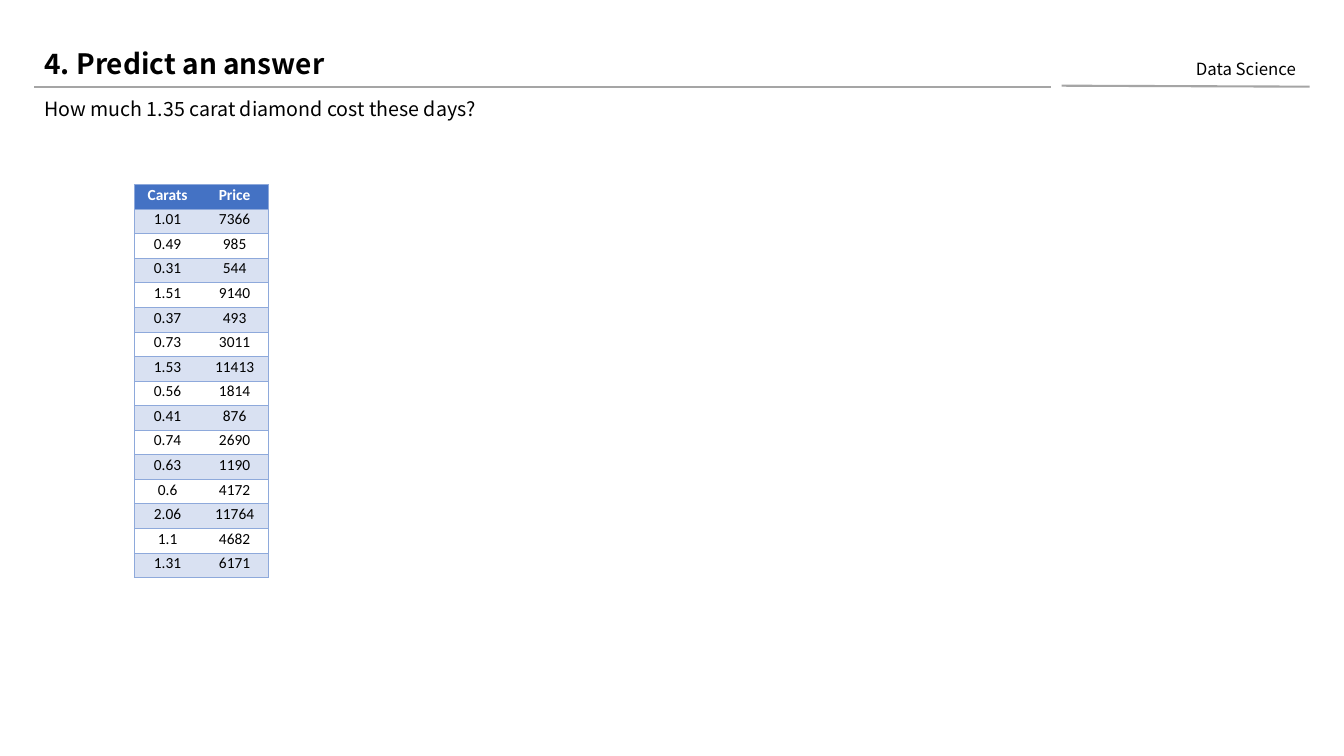
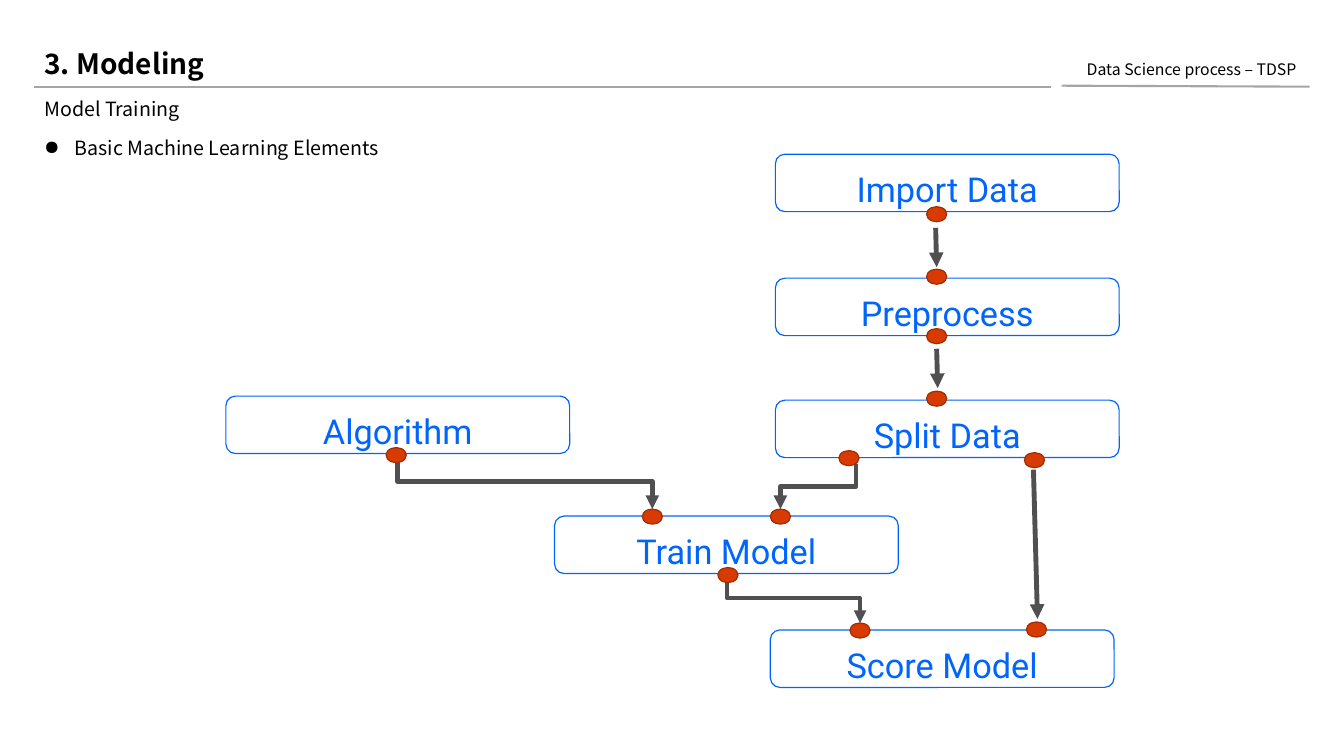
"""Build two data science slides: a price table and a model training flow."""
from dataclasses import dataclass

import lxml.etree
import pptx
import pptx.chart.data
import pptx.dml.color
import pptx.enum.shapes
import pptx.enum.text
import pptx.oxml.ns
import pptx.util

Inches = pptx.util.Inches
Pt = pptx.util.Pt
Align = pptx.enum.text.PP_ALIGN
Anchor = pptx.enum.text.MSO_ANCHOR
Preset = pptx.enum.shapes.MSO_SHAPE
Link = pptx.enum.shapes.MSO_CONNECTOR

BODY_FONT, TABLE_FONT, NODE_FONT = "Noto Sans CJK KR", "Calibri", "Roboto"
BLACK, WHITE, RULE = "000000", "FFFFFF", "A5A5A5"
HEADER_FILL, BAND_FILL, TABLE_BORDER = "4472C4", "D9E1F2", "8EA9DB"
NODE_BLUE, PORT_FILL, PORT_LINE, ARROW = "0065FC", "D83B01", "A02C01", "505050"
LEFT, CONTENT_WIDTH = 0.34, 12.65
NODE_WIDTH, NODE_HEIGHT = 3.41, 0.57
PORT_WIDTH, PORT_HEIGHT = 0.2, 0.15


@dataclass(frozen=True)
class Node:
    """A named step, placed by its top left corner."""

    label: str
    left: float
    top: float


@dataclass(frozen=True)
class Arrow:
    """A downward arrow between two points."""

    x1: float
    y1: float
    x2: float
    y2: float
    weight: float = 3.5
    bent: bool = False


DIAMONDS = [
    ("Carats", "Price"), ("1.01", "7366"), ("0.49", "985"), ("0.31", "544"),
    ("1.51", "9140"), ("0.37", "493"), ("0.73", "3011"), ("1.53", "11413"),
    ("0.56", "1814"), ("0.41", "876"), ("0.74", "2690"), ("0.63", "1190"),
    ("0.6", "4172"), ("2.06", "11764"), ("1.1", "4682"), ("1.31", "6171"),
]
NODES = [
    Node("Import Data", 7.69, 1.53),
    Node("Preprocess", 7.69, 2.76),
    Node("Split Data", 7.69, 3.97),
    Node("Algorithm", 2.24, 3.93),
    Node("Train Model", 5.5, 5.12),
    Node("Score Model", 7.64, 6.25),
]
ARROWS = [
    Arrow(3.94, 4.5, 6.47, 5.05, 3.25, True),
    Arrow(7.21, 5.69, 8.53, 6.18, 3, True),
    Arrow(8.49, 4.6, 7.74, 5.05, 3.25, True),
    Arrow(9.28, 2.26, 9.29, 2.65),
    Arrow(9.29, 3.46, 9.3, 3.85),
    Arrow(10.25, 4.66, 10.29, 6.14),
]
PORTS = [
    (9.19, 2.05), (9.19, 2.67), (9.19, 3.26), (9.19, 3.88), (8.32, 4.47),
    (10.16, 4.49), (3.83, 4.44), (6.37, 5.05), (7.64, 5.05), (7.12, 5.63),
    (8.43, 6.18), (10.18, 6.17),
]


def rgb(value: str) -> pptx.dml.color.RGBColor:
    """Turn a hex string into a colour."""
    return pptx.dml.color.RGBColor.from_string(value)


def add_element(parent, tag: str, **attributes: str):
    """Append a drawing element and return it."""
    element = lxml.etree.SubElement(parent, pptx.oxml.ns.qn(tag))
    for key, value in attributes.items():
        element.set(key, value)
    return element


def style_text(paragraph, font: str, size: float, color: str,
               bold: bool = False, align=Align.LEFT) -> None:
    """Align a paragraph and format its runs."""
    paragraph.alignment = align
    for run in paragraph.runs:
        run.font.name, run.font.size, run.font.bold = font, Pt(size), bold
        run.font.color.rgb = rgb(color)


def add_line(slide, kind, start: tuple[float, float], end: tuple[float, float],
             color: str, weight: float):
    """Draw a connector without a shadow."""
    line = slide.shapes.add_connector(kind, *map(Inches, start + end))
    line.line.color.rgb = rgb(color)
    line.line.width = Pt(weight)
    add_element(line._element.spPr, "a:effectLst")
    return line


def add_text(slide, text: str, box: tuple[float, float, float, float], size: float = 14,
             align=Align.LEFT, anchor=Anchor.MIDDLE, bullet: str = "") -> None:
    """Add one paragraph of body text, with an optional bullet."""
    frame = slide.shapes.add_textbox(*map(Inches, box)).text_frame
    frame.word_wrap = True
    frame.vertical_anchor = anchor
    frame.text = text
    paragraph = frame.paragraphs[0]
    paragraph.line_spacing = 0.9
    if bullet:
        properties = paragraph._p.get_or_add_pPr()
        properties.set("marL", str(Inches(0.3)))
        properties.set("indent", str(Inches(-0.3)))
        add_element(properties, "a:buChar", char=bullet)
    style_text(paragraph, BODY_FONT, size, BLACK, align=align)


def add_slide(deck, heading: str, section: str, section_size: float, question: str):
    """Add a slide with its title, section label, rules and subtitle."""
    slide = deck.slides.add_slide(deck.slide_layouts[5])
    add_line(slide, Link.STRAIGHT, (10.53, 0.85), (12.99, 0.86), RULE, 1.5)
    add_line(slide, Link.STRAIGHT, (LEFT, 0.86), (10.42, 0.86), RULE, 1.5)
    title = slide.shapes.title
    title.left, title.top, title.width, title.height = map(Inches, (LEFT, 0.4, 10.07, 0.46))
    title.text_frame.text = heading
    title.text_frame.vertical_anchor = Anchor.MIDDLE
    style_text(title.text_frame.paragraphs[0], BODY_FONT, 20, BLACK, bold=True)
    add_text(slide, section, (10.53, 0.54, 2.46, 0.31), section_size, Align.RIGHT)
    add_text(slide, question, (LEFT, 0.86, CONTENT_WIDTH, 0.47))
    return slide


def set_borders(cell, visible: str) -> None:
    """Draw the cell sides listed in visible and clear the others."""
    properties = cell._tc.get_or_add_tcPr()
    for side in "LRTB":
        border = add_element(properties, f"a:ln{side}", w=str(Pt(0.5)))
        if side in visible:
            fill = add_element(border, "a:solidFill")
            add_element(fill, "a:srgbClr", val=TABLE_BORDER)
        else:
            add_element(border, "a:noFill")


def add_price_table(slide) -> None:
    """Add the banded table of carats and prices."""
    size = len(DIAMONDS), len(DIAMONDS[0])
    table = slide.shapes.add_table(*size, *map(Inches, (1.33, 1.83, 1.33, 3.84))).table
    table.first_row = table.horz_banding = False
    for row, values in enumerate(DIAMONDS):
        table.rows[row].height = Inches(0.24)
        for column, value in enumerate(values):
            cell = table.cell(row, column)
            set_borders(cell, "TBR" if column else "TBL")
            if row % 2 or row == 0:
                cell.fill.solid()
                cell.fill.fore_color.rgb = rgb(BAND_FILL if row else HEADER_FILL)
            else:
                cell.fill.background()
            cell.margin_left = cell.margin_top = cell.margin_right = Inches(0.01)
            cell.margin_bottom = Inches(0.05)
            cell.vertical_anchor = Anchor.MIDDLE
            cell.text_frame.text = value
            style_text(cell.text_frame.paragraphs[0], TABLE_FONT, 11,
                       BLACK if row else WHITE, row == 0, Align.CENTER)


def add_preset(slide, preset, box: tuple[float, float, float, float], fill: str, outline: str):
    """Add a filled and outlined shape without a shadow."""
    shape = slide.shapes.add_shape(preset, *map(Inches, box))
    shape.shadow.inherit = False
    shape.fill.solid()
    shape.fill.fore_color.rgb = rgb(fill)
    shape.line.color.rgb = rgb(outline)
    shape.line.width = Pt(0.85)
    return shape


def add_node(slide, node: Node) -> None:
    """Draw one step of the flow."""
    box = (node.left, node.top, NODE_WIDTH, NODE_HEIGHT)
    frame = add_preset(slide, Preset.ROUNDED_RECTANGLE, box, WHITE, NODE_BLUE).text_frame
    frame.word_wrap = True
    frame.vertical_anchor = Anchor.TOP
    frame.margin_left = frame.margin_right = Inches(0.2)
    frame.margin_top = frame.margin_bottom = Inches(0.16)
    frame.text = node.label
    frame.paragraphs[0].line_spacing = 0.9
    style_text(frame.paragraphs[0], NODE_FONT, 24.5, NODE_BLUE, align=Align.CENTER)


def add_arrow(slide, arrow: Arrow) -> None:
    """Draw a straight arrow, or an elbow turned to leave and arrive vertically."""
    start, end = (arrow.x1, arrow.y1), (arrow.x2, arrow.y2)
    kind, turn = Link.STRAIGHT, 0
    if arrow.bent:
        rightward = arrow.x2 > arrow.x1
        kind, turn = Link.ELBOW, 270 if rightward else 90
        middle_x, middle_y = (arrow.x1 + arrow.x2) / 2, (arrow.y1 + arrow.y2) / 2
        half_drop = (arrow.y2 - arrow.y1) / 2 * (-1 if rightward else 1)
        half_span = abs(arrow.x2 - arrow.x1) / 2
        start = (middle_x - half_drop, middle_y - half_span)
        end = (middle_x + half_drop, middle_y + half_span)
    line = add_line(slide, kind, start, end, ARROW, arrow.weight)
    if turn:
        line.rotation = turn
    add_element(line.line._get_or_add_ln(), "a:tailEnd", type="triangle")


def add_training_flow(slide) -> None:
    """Draw the steps, their arrows and their ports."""
    for node in NODES:
        add_node(slide, node)
    for arrow in ARROWS:
        add_arrow(slide, arrow)
    for left, top in PORTS:
        add_preset(slide, Preset.OVAL, (left, top, PORT_WIDTH, PORT_HEIGHT),
                   PORT_FILL, PORT_LINE)


def main() -> None:
    """Build and save the presentation."""
    deck = pptx.Presentation()
    deck.slide_width, deck.slide_height = Inches(13.33), Inches(7.5)
    prediction = add_slide(deck, "4. Predict an answer", "Data Science ", 12,
                           "How much 1.35 carat diamond cost these days?")
    add_price_table(prediction)
    modeling = add_slide(deck, "3. Modeling", "Data Science process – TDSP ", 11.3,
                         "Model Training")
    add_text(modeling, "Basic Machine Learning Elements", (LEFT, 1.33, CONTENT_WIDTH, 5.68),
             anchor=Anchor.TOP, bullet="●")
    add_training_flow(modeling)
    deck.save("out.pptx")


if __name__ == "__main__":
    main()
